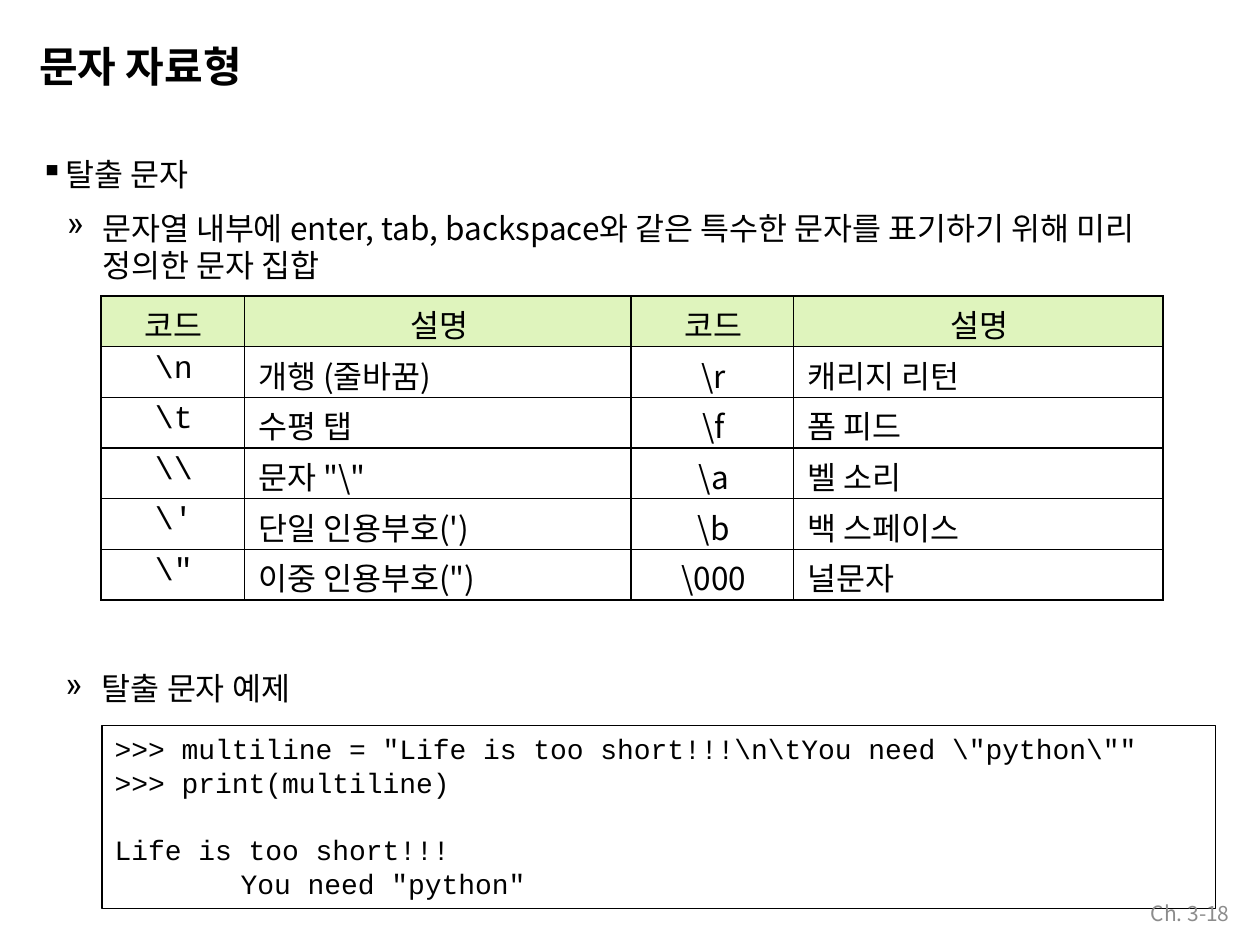
from lxml import etree
from pptx import Presentation
from pptx.dml.color import RGBColor
from pptx.enum.shapes import MSO_SHAPE
from pptx.enum.text import MSO_ANCHOR, MSO_AUTO_SIZE, PP_ALIGN
from pptx.oxml.ns import qn
from pptx.util import Inches, Pt

LEFT, CENTER, RIGHT = PP_ALIGN.LEFT, PP_ALIGN.CENTER, PP_ALIGN.RIGHT
TOP, MIDDLE = MSO_ANCHOR.TOP, MSO_ANCHOR.MIDDLE
RECT = MSO_SHAPE.RECTANGLE
NO_FIT = MSO_AUTO_SIZE.NONE
SANS, MONO = "Noto Sans CJK KR", "Courier New"
BLACK, GRAY, GREEN = "000000", "8C8C8C", "DFF4BD"


def color(code):
    return RGBColor.from_string(code)


class Page:
    def __init__(self, deck):
        self.slide = deck.slides.add_slide(deck.slide_layouts[5])
        self.shapes = self.slide.shapes

    def style(self, par, size=18, font=SANS, tint=BLACK, bold=False,
              align=LEFT, left=0, hang=0, mark=None, before=0):
        par.alignment = align
        par.space_before = Pt(before)
        props = par._p.get_or_add_pPr()
        props.set("marL", str(Inches(left)))
        props.set("indent", str(-Inches(hang)))
        if mark:
            etree.SubElement(props, qn("a:buChar"), char=mark)
        else:
            etree.SubElement(props, qn("a:buNone"))
        face = par.font
        face.size, face.bold, face.name = Pt(size), bold, font
        face.color.rgb = color(tint)
        # Korean glyphs take the East Asian typeface
        etree.SubElement(props.find(qn("a:defRPr")), qn("a:ea"), typeface=font)

    def fill(self, frame, lines, top=0, anchor=TOP):
        frame.word_wrap = True
        frame.auto_size = NO_FIT
        frame.vertical_anchor = anchor
        frame.margin_left = frame.margin_right = frame.margin_bottom = 0
        frame.margin_top = Inches(top)
        for i, (text, look) in enumerate(lines):
            par = frame.add_paragraph() if i else frame.paragraphs[0]
            par.text = text
            self.style(par, **look)

    def title(self, text, *box):
        shape = self.shapes.title
        shape.left, shape.top, shape.width, shape.height = map(Inches, box)
        self.fill(shape.text_frame, [(text, dict(size=24, bold=True))], 0.01)

    def text(self, lines, *box, **spot):
        shape = self.shapes.add_textbox(*map(Inches, box))
        self.fill(shape.text_frame, lines, **spot)

    def code(self, lines, pitch, *box):
        shape = self.shapes.add_shape(RECT, *map(Inches, box))
        shape.shadow.inherit = False
        shape.fill.background()
        shape.line.color.rgb = color(BLACK)
        shape.line.width = Pt(0.6)
        self.fill(shape.text_frame, lines, 0.04)
        for par in shape.text_frame.paragraphs:
            par.line_spacing = Pt(pitch)

    def border(self, cell):
        props = cell._tc.get_or_add_tcPr()
        for side in "LRTB":
            line = etree.SubElement(props, qn("a:ln" + side), w=str(Pt(1)))
            paint = etree.SubElement(line, qn("a:solidFill"))
            etree.SubElement(paint, qn("a:srgbClr"), val=BLACK)

    def table(self, rows, widths, height, left, top):
        frame = self.shapes.add_table(
            len(rows), len(widths), Inches(left), Inches(top),
            Inches(sum(widths)), Inches(height * len(rows)))
        grid = frame.table
        grid.first_row = grid.horz_banding = False
        for col, width in zip(grid.columns, widths):
            col.width = Inches(width)
        for r, row in enumerate(rows):
            grid.rows[r].height = Inches(height)
            for c, text in enumerate(row):
                self.cell(grid.cell(r, c), text, r == 0, c)

    def cell(self, cell, text, head, col):
        cell.margin_left = cell.margin_right = cell.margin_bottom = 0
        cell.margin_top = Inches(0.04)
        self.border(cell)
        if head:
            cell.fill.solid()
            cell.fill.fore_color.rgb = color(GREEN)
        else:
            cell.fill.background()
        mid = head or col % 2 == 0
        par = cell.text_frame.paragraphs[0]
        par.text = text
        self.style(par, font=MONO if col == 0 and not head else SANS,
                   align=CENTER if mid else LEFT, left=0.02 if mid else 0.11)


def main():
    deck = Presentation()
    deck.slide_width, deck.slide_height = Inches(10), Inches(7.5)
    page = Page(deck)
    page.title("문자 자료형", 0.31, 0.31, 3, 0.43)

    # Topic and definition
    page.text([
        ("탈출 문자", dict(left=0.21, hang=0.2, mark="▪")),
        ("문자열 내부에 enter, tab, backspace와 같은 특수한 문자를 "
         "표기하기 위해 미리 정의한 문자 집합",
         dict(left=0.5, hang=0.28, mark="»", before=9)),
    ], 0.31, 1.09, 8.79, 1.18, top=0.14)

    # Escape codes
    page.table([
        ("코드", "설명", "코드", "설명"),
        (r"\n", "개행 (줄바꿈)", r"\r", "캐리지 리턴"),
        (r"\t", "수평 탭", r"\f", "폼 피드"),
        (r"\\", r'문자 "\"', r"\a", "벨 소리"),
        (r"\'", "단일 인용부호(')", r"\b", "백 스페이스"),
        (r"\"", '이중 인용부호(")', r"\000", "널문자"),
    ], (1.14, 3.07, 1.29, 2.93), 0.4, 0.8, 2.35)

    # Example
    page.text([("탈출 문자 예제", dict(left=0.3, hang=0.29, mark="»"))],
              0.51, 5.3, 2.5, 0.33, top=0.01)
    code = dict(size=16, font=MONO, left=0.1)
    page.code([
        (r'>>> multiline = "Life is too short!!!\n\tYou need \"python\""',
         code),
        (">>> print(multiline)", code),
        ("Life is too short!!!", dict(code, before=19.4)),
        ('You need "python"', dict(code, left=1.1)),
    ], 19.4, 0.81, 5.76, 8.84, 1.45)

    # Page number
    page.text([("Ch. 3-18", dict(size=12, tint=GRAY, align=RIGHT))],
              8.8, 7.15, 0.96, 0.2, anchor=MIDDLE)
    deck.save("out.pptx")


if __name__ == "__main__":
    main()
